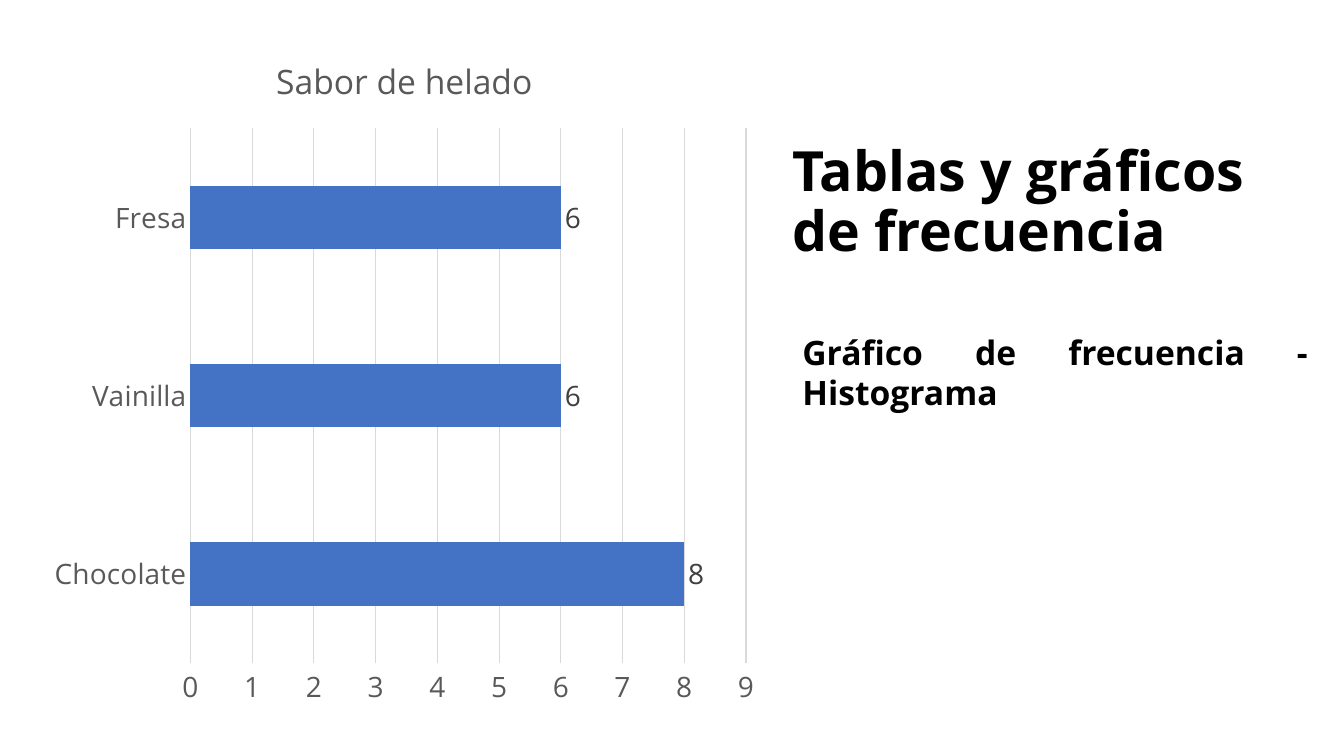
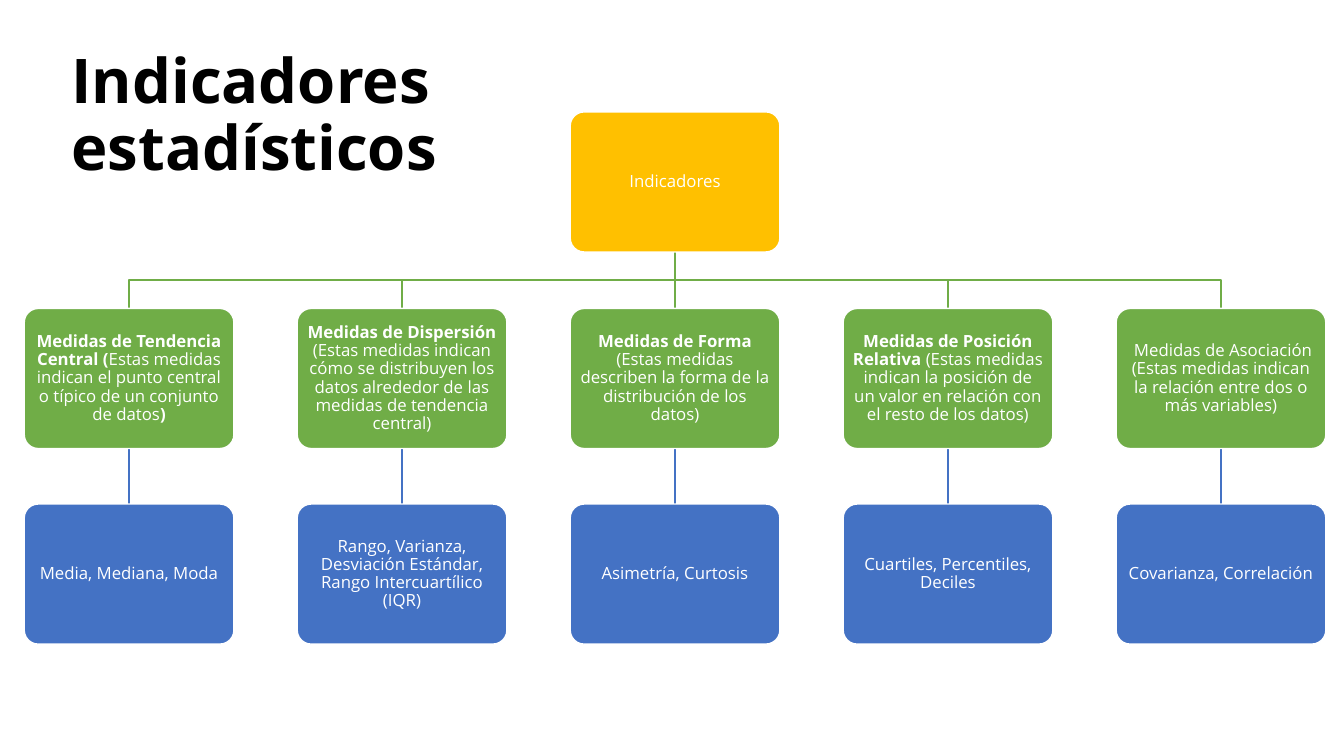
from dataclasses import dataclass

from lxml import etree
from pptx import Presentation
from pptx.chart.data import CategoryChartData
from pptx.dml.color import RGBColor
from pptx.enum.chart import XL_CHART_TYPE, XL_LABEL_POSITION, XL_TICK_MARK
from pptx.enum.shapes import MSO_CONNECTOR, MSO_SHAPE
from pptx.enum.text import MSO_ANCHOR, PP_ALIGN
from pptx.oxml.ns import qn
from pptx.util import Inches, Pt

BAR = XL_CHART_TYPE.BAR_CLUSTERED
OUT_END = XL_LABEL_POSITION.OUTSIDE_END
NO_TICK = XL_TICK_MARK.NONE
STRAIGHT = MSO_CONNECTOR.STRAIGHT
ROUND = MSO_SHAPE.ROUNDED_RECTANGLE
TOP, MIDDLE = MSO_ANCHOR.TOP, MSO_ANCHOR.MIDDLE
LEFT, CENTER, JUSTIFY = PP_ALIGN.LEFT, PP_ALIGN.CENTER, PP_ALIGN.JUSTIFY


@dataclass(frozen=True)
class Theme:
    font: str = "Open Sans"
    black: str = "000000"
    white: str = "FFFFFF"
    blue: str = "4472C4"
    green: str = "70AD47"
    gold: str = "FFC000"
    gray: str = "595959"
    dark: str = "404040"
    pale: str = "D9D9D9"
    title: float = 44
    title_small: float = 39.6
    head: float = 24
    label: float = 20
    node: float = 12


T = Theme()

# Content: runs are (text, bold)
FLAVORS = [("Chocolate", 8), ("Vainilla", 6), ("Fresa", 6)]
CHART_TITLE = "Sabor de helado"
TITLES = ["Tablas y gráficos de frecuencia", "Indicadores estadísticos"]
SUBTITLE = "Gráfico de frecuencia - Histograma"
ROOT = "Indicadores"
BRANCHES = [
    ([("Medidas de Tendencia Central (", True),
      ("Estas medidas indican el punto central o típico de un conjunto de datos", False),
      (")", True)],
     "Media, Mediana, Moda"),
    ([("Medidas de Dispersión ", True),
      ("(Estas medidas indican cómo se distribuyen los datos alrededor de las "
       "medidas de tendencia central)", False)],
     "Rango, Varianza, Desviación Estándar, Rango Intercuartílico (IQR)"),
    ([("Medidas de Forma ", True),
      ("(Estas medidas describen la forma de la distribución de los datos)", False)],
     "Asimetría, Curtosis"),
    ([("Medidas de Posición Relativa ", True),
      ("(Estas medidas indican la posición de un valor en relación con el resto "
       "de los datos)", False)],
     "Cuartiles, Percentiles, Deciles"),
    ([(" Medidas de Asociación (Estas medidas indican la relación entre dos o "
       "más variables)", False)],
     "Covarianza, Correlación"),
]

# Chart and tree geometry, in inches
CHART = (0.4, 0.29, 7.22, 6.86)
PLOT = (1.89, 1.27, 5.51, 5.31)
CHART_HEAD = (2.68, 0.48)
NODE_W, NODE_H = 2.08, 1.39
FIRST_X, LAST_X = 0.24, 11.07
STEP_X = (LAST_X - FIRST_X) / (len(BRANCHES) - 1)
TOPS = (1.11, 3.06, 5)


def paint(font, size, color, bold=False):
    font.name, font.size, font.bold = T.font, Pt(size), bold
    font.color.rgb = RGBColor.from_string(color)


def write(shape, runs, size=T.node, color=T.white, align=LEFT, anchor=TOP,
          space=0.9, inset=None):
    frame = shape.text_frame
    frame.word_wrap = True
    frame.vertical_anchor = anchor
    if inset is not None:
        frame.margin_left = frame.margin_right = Inches(inset)
        frame.margin_top = frame.margin_bottom = Inches(inset)
    para = frame.paragraphs[0]
    para.alignment, para.line_spacing = align, space
    for text, bold in runs:
        run = para.add_run()
        run.text = text
        paint(run.font, size, color, bold)


def heading(slide, text, box, **fmt):
    shape = slide.shapes.add_textbox(*map(Inches, box))
    write(shape, [(text, True)], color=T.black, **fmt)


def stroke(line, color, width=1):
    line.color.rgb = RGBColor.from_string(color)
    line.width = Pt(width)


def node(slide, runs, col, row, fill):
    box = (FIRST_X + col * STEP_X, TOPS[row], NODE_W, NODE_H)
    shape = slide.shapes.add_shape(ROUND, *map(Inches, box))
    shape.shadow.inherit = False
    shape.adjustments[0] = 0.1
    shape.fill.solid()
    shape.fill.fore_color.rgb = RGBColor.from_string(fill)
    stroke(shape.line, T.white)
    write(shape, runs, align=CENTER, anchor=MIDDLE, inset=0.05)


def link(slide, x, y1, y2, color):
    line = slide.shapes.add_connector(STRAIGHT, *map(Inches, (x, y1, x, y2)))
    stroke(line.line, color)
    etree.SubElement(line._element.spPr, qn("a:effectLst"))


def elbow(slide, x1, y1, x2, y2, color):
    """Draw a line that goes down, across and down again."""
    mid = (y1 + y2) / 2
    turns = [(x1, mid), (x2, mid), (x2, y2)]
    form = slide.shapes.build_freeform(Inches(x1), Inches(y1))
    form.add_line_segments([(Inches(x), Inches(y)) for x, y in turns], close=False)
    shape = form.convert_to_shape()
    shape.shadow.inherit = False
    shape.fill.background()
    stroke(shape.line, color)


def place(part, index, box, **modes):
    """Fix a chart part at a place given in slide inches."""
    for old in part.findall(qn("c:layout")):
        part.remove(old)
    left, top, wide, high = CHART
    shares = [(box[0] - left) / wide, (box[1] - top) / high]
    shares += [size / full for size, full in zip(box[2:], (wide, high))]
    vals = {**modes, "xMode": "edge", "yMode": "edge", **dict(zip("xywh", shares))}
    layout = etree.Element(qn("c:layout"))
    manual = etree.SubElement(layout, qn("c:manualLayout"))
    for tag, val in vals.items():
        etree.SubElement(manual, qn("c:" + tag)).set("val", str(val))
    part.insert(index, layout)


def bars(slide):
    data = CategoryChartData()
    data.categories = [name for name, _ in FLAVORS]
    data.add_series("Series 1", [count for _, count in FLAVORS])
    chart = slide.shapes.add_chart(BAR, *map(Inches, CHART), data).chart
    paint(chart.font, T.label, T.black)
    chart.has_legend = False

    # Chart title
    chart.has_title = True
    run = chart.chart_title.text_frame.paragraphs[0].add_run()
    run.text = CHART_TITLE
    paint(run.font, T.head, T.gray)
    place(chart.chart_title._element, 1, CHART_HEAD)
    place(chart._chartSpace.chart.plotArea, 0, PLOT, layoutTarget="inner")

    # Axes
    cat, val = chart.category_axis, chart.value_axis
    for axis in (cat, val):
        axis.major_tick_mark = axis.minor_tick_mark = NO_TICK
        paint(axis.tick_labels.font, T.label, T.gray)
    stroke(cat.format.line, T.pale, 0.75)
    val.format.line.fill.background()
    val.minimum_scale, val.maximum_scale, val.major_unit = 0, 9, 1
    stroke(val.major_gridlines.format.line, T.pale, 0.75)

    # Bars and labels
    plot = chart.plots[0]
    plot.gap_width, plot.vary_by_categories = 182, False
    series = plot.series[0]
    series.format.fill.solid()
    series.format.fill.fore_color.rgb = RGBColor.from_string(T.blue)
    labels = series.data_labels
    labels.show_value, labels.position = True, OUT_END
    paint(labels.font, T.label, T.dark)


def tree(slide):
    mid = len(BRANCHES) // 2
    hubs = [FIRST_X + i * STEP_X + NODE_W / 2 for i in range(len(BRANCHES))]
    ends = [top + NODE_H for top in TOPS]

    # Lines
    for col, x in enumerate(hubs):
        if col == mid:
            link(slide, x, ends[0], TOPS[1], T.green)
        else:
            elbow(slide, hubs[mid], ends[0], x, TOPS[1], T.green)
        link(slide, x, ends[1], TOPS[2], T.blue)

    # Boxes
    node(slide, [(ROOT, False)], mid, 0, T.gold)
    for col, (group, leaf) in enumerate(BRANCHES):
        node(slide, group, col, 1, T.green)
        node(slide, [(leaf, False)], col, 2, T.blue)


def main():
    deck = Presentation()
    deck.slide_width, deck.slide_height = Inches(13.33), Inches(7.5)
    first, second = [deck.slides.add_slide(deck.slide_layouts[6]) for _ in TITLES]

    # Frequency chart
    heading(first, TITLES[0], (7.76, 1.14, 5.3, 1.76), size=T.title_small,
            anchor=MIDDLE)
    heading(first, SUBTITLE, (7.86, 3.24, 5.21, 0.91), size=T.head,
            align=JUSTIFY, space=1.0)
    bars(first)

    # Indicator tree
    tree(second)
    heading(second, TITLES[1], (0.61, 0.45, 4.45, 1.47), size=T.title)
    deck.save("out.pptx")


if __name__ == "__main__":
    main()
